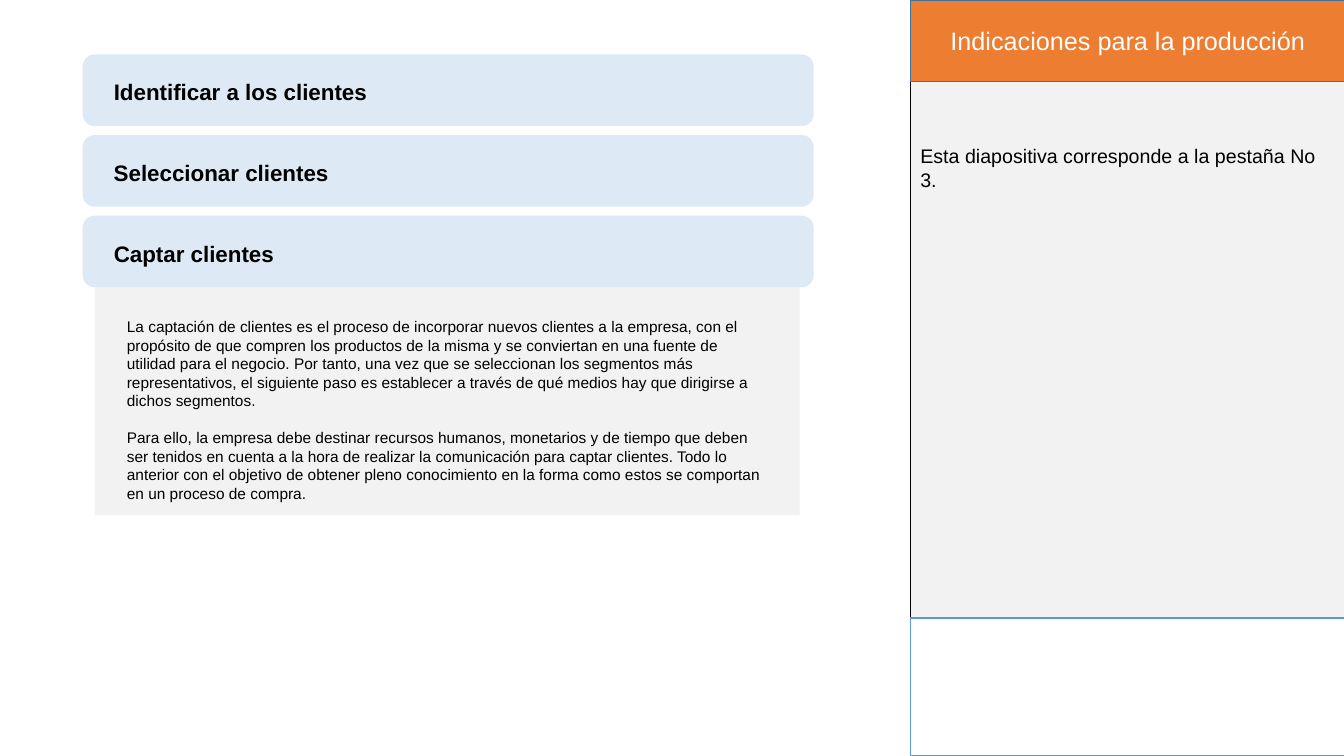
from pptx import Presentation
from pptx.dml.color import RGBColor
from pptx.enum.shapes import MSO_SHAPE
from pptx.enum.text import MSO_ANCHOR, PP_ALIGN
from pptx.util import Inches, Pt

# Content
TABS = [
    ("Identificar a los clientes", 2.75),
    ("Seleccionar clientes", 2.36),
    ("Captar clientes", 1.81),
]
DETAIL = [
    "La captación de clientes es el proceso de incorporar nuevos clientes a la empresa, "
    "con el propósito de que compren los productos de la misma y se conviertan en una "
    "fuente de utilidad para el negocio. Por tanto, una vez que se seleccionan los "
    "segmentos más representativos, el siguiente paso es establecer a través de qué "
    "medios hay que dirigirse a dichos segmentos.",
    "Para ello, la empresa debe destinar recursos humanos, monetarios y de tiempo que "
    "deben ser tenidos en cuenta a la hora de realizar la comunicación para captar "
    "clientes. Todo lo anterior con el objetivo de obtener pleno conocimiento en la forma "
    "como estos se comportan en un proceso de compra.",
]
PANEL_TITLE = "Indicaciones para la producción"
PANEL_NOTE = "Esta diapositiva corresponde a la pestaña No 3."

# Layout
TAB_LEFT, TAB_TOP, TAB_STEP = 0.82, 0.54, 0.8
TAB_WIDTH, TAB_HEIGHT = 7.25, 0.71
PANEL_LEFT, PANEL_WIDTH = 9.03, 4.31
GREY, BLUE, BLACK, WHITE = "F2F2F2", "DDEAF6", "000000", "FFFFFF"


def color(value):
    return RGBColor.from_string(value)


def add_box(page, kind, place, fill, line=None):
    box = page.shapes.add_shape(kind, *map(Inches, place))
    box.shadow.inherit = False
    box.fill.solid()
    box.fill.fore_color.rgb = color(fill)
    if line:
        box.line.color.rgb = color(line)
        box.line.width = Pt(1)
    else:
        box.line.fill.background()
    return box


def write(box, texts, size, ink=BLACK, bold=False, align=PP_ALIGN.LEFT, gap=0):
    frame = box.text_frame
    frame.word_wrap = True
    for index, text in enumerate(texts):
        para = frame.add_paragraph() if index else frame.paragraphs[0]
        para.text = text
        para.alignment = align
        para.font.name = "Arial"
        para.font.size = Pt(size)
        para.font.bold = bold
        para.font.color.rgb = color(ink)
        if index:
            para.space_before = Pt(gap)


def add_text(page, place, texts, size, **style):
    box = page.shapes.add_textbox(*map(Inches, place))
    write(box, texts, size, **style)


def main():
    deck = Presentation()
    deck.slide_width, deck.slide_height = Inches(13.33), Inches(7.5)
    page = deck.slides.add_slide(deck.slide_layouts[6])

    # Detail area under the open tab
    add_box(page, MSO_SHAPE.RECTANGLE, (0.94, 2.46, 6.99, 2.65), GREY)
    add_text(page, (1.16, 3.1, 6.58, 1.77), DETAIL, 11, gap=13.2)

    # Production panel
    add_box(page, MSO_SHAPE.RECTANGLE, (PANEL_LEFT, 0, PANEL_WIDTH, 7.5), GREY, BLACK)
    add_text(page, (PANEL_LEFT, 1.38, 4.33, 3.3), [PANEL_NOTE], 14)
    header = add_box(page, MSO_SHAPE.RECTANGLE,
                     (PANEL_LEFT, 0, PANEL_WIDTH, 0.81), "ED7D31", "42719B")
    header.text_frame.vertical_anchor = MSO_ANCHOR.MIDDLE
    write(header, [PANEL_TITLE], 18, ink=WHITE, align=PP_ALIGN.CENTER)
    add_box(page, MSO_SHAPE.RECTANGLE, (PANEL_LEFT, 6.13, PANEL_WIDTH, 1.37), WHITE, "5B9BD5")

    # Tabs
    for index, (label, width) in enumerate(TABS):
        top = TAB_TOP + index * TAB_STEP
        add_box(page, MSO_SHAPE.ROUNDED_RECTANGLE,
                (TAB_LEFT, top, TAB_WIDTH, TAB_HEIGHT), BLUE)
        add_text(page, (TAB_LEFT + 0.21, top + 0.19, width, 0.37), [label], 16, bold=True)

    deck.save("out.pptx")


if __name__ == "__main__":
    main()
